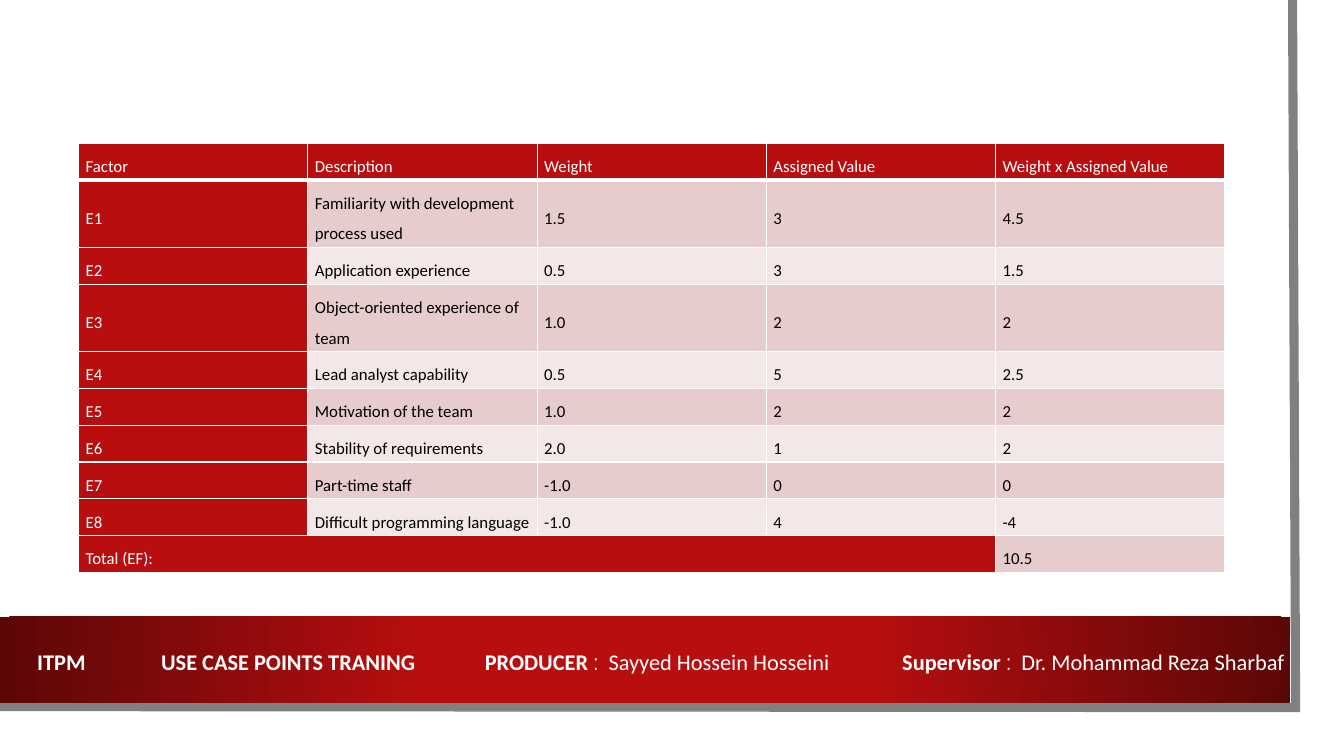
from dataclasses import dataclass

from pptx import Presentation
from pptx.dml.color import RGBColor
from pptx.enum.shapes import MSO_SHAPE
from pptx.enum.text import MSO_ANCHOR
from pptx.oxml import parse_xml
from pptx.oxml.ns import nsdecls, qn
from pptx.util import Inches, Pt

RECTANGLE = MSO_SHAPE.RECTANGLE
MIDDLE = MSO_ANCHOR.MIDDLE


@dataclass(frozen=True)
class Theme:
    white: str = "FFFFFF"
    black: str = "000000"
    red: str = "B80E0F"
    dark_red: str = "5C0707"
    band_dark: str = "E6CCCC"
    band_light: str = "F3E7E7"
    frame: str = "808080"
    body_font: str = "Calibri"
    colon_font: str = "Arial Narrow"
    table_size: int = 12
    footer_size: int = 16


HEADERS = ["Factor", "Description", "Weight", "Assigned Value", "Weight x Assigned Value"]
FACTORS = [
    ["E1", "Familiarity with development process used", "1.5", "3", "4.5"],
    ["E2", "Application experience", "0.5", "3", "1.5"],
    ["E3", "Object-oriented experience of team", "1.0", "2", "2"],
    ["E4", "Lead analyst capability", "0.5", "5", "2.5"],
    ["E5", "Motivation of the team", "1.0", "2", "2"],
    ["E6", "Stability of requirements", "2.0", "1", "2"],
    ["E7", "Part-time staff", "-1.0", "0", "0"],
    ["E8", "Difficult programming language", "-1.0", "4", "-4"],
]
TOTAL = ["Total (EF):", "", "", "", "10.5"]


def apply(target, values):
    for name, value in values.items():
        setattr(target, name, value)


class SlideBuilder:
    def __init__(self, slide, theme):
        self.slide = slide
        self.theme = theme

    def rectangle(self, left, top, width, height, color):
        shape = self.slide.shapes.add_shape(
            RECTANGLE, Inches(left), Inches(top), Inches(width), Inches(height))
        shape.shadow.inherit = False
        shape.fill.solid()
        shape.fill.fore_color.rgb = RGBColor.from_string(color)
        shape.line.fill.background()
        return shape

    def radial_rectangle(self, left, top, width, height, stops):
        shape = self.rectangle(left, top, width, height, stops[0][1])
        stop_xml = "".join(
            f'<a:gs pos="{position * 1000}"><a:srgbClr val="{color}"/></a:gs>'
            for position, color in stops)
        gradient = parse_xml(
            f'<a:gradFill {nsdecls("a")} rotWithShape="1"><a:gsLst>{stop_xml}</a:gsLst>'
            '<a:path path="circle"><a:fillToRect l="50000" t="50000" r="50000" b="50000"/>'
            '</a:path></a:gradFill>')
        properties = shape.element.spPr
        properties.replace(properties.find(qn("a:solidFill")), gradient)

    def outline(self, points, color, width):
        corners = [(Inches(x), Inches(y)) for x, y in points]
        builder = self.slide.shapes.build_freeform(*corners[0])
        builder.add_line_segments(corners[1:], close=False)
        shape = builder.convert_to_shape()
        shape.shadow.inherit = False
        shape.fill.background()
        shape.line.color.rgb = RGBColor.from_string(color)
        shape.line.width = Pt(width)
        shape.line._get_or_add_ln().append(parse_xml(f'<a:miter {nsdecls("a")} lim="800000"/>'))

    def run(self, paragraph, text, color, size, font, bold=False):
        run = paragraph.add_run()
        run.text = text
        apply(run.font, {"name": font, "size": Pt(size), "bold": bold})
        run.font.color.rgb = RGBColor.from_string(color)

    def cell(self, cell, text, fill, color, top=1, bottom=1):
        apply(cell, {
            "vertical_anchor": MIDDLE,
            "margin_left": Inches(0.07), "margin_right": Inches(0.07),
            "margin_top": Inches(0.03), "margin_bottom": Inches(0.03)})
        paragraph = cell.text_frame.paragraphs[0]
        apply(paragraph, {"line_spacing": 1.5, "space_after": Pt(8)})
        if text:
            self.run(paragraph, text, color, self.theme.table_size, self.theme.body_font)
        # Borders come before the fill in the cell properties
        properties = cell._tc.get_or_add_tcPr()
        for side, width in {"L": 1, "R": 1, "T": top, "B": bottom}.items():
            properties.append(parse_xml(
                f'<a:ln{side} {nsdecls("a")} w="{Pt(width)}"><a:solidFill>'
                f'<a:srgbClr val="{self.theme.white}"/></a:solidFill></a:ln{side}>'))
        cell.fill.solid()
        cell.fill.fore_color.rgb = RGBColor.from_string(fill)

    def table(self, left, top, column_width, row_heights, rows):
        theme = self.theme
        column_count = len(rows[0])
        table = self.slide.shapes.add_table(
            len(rows), column_count, Inches(left), Inches(top),
            Inches(column_width * column_count), Inches(sum(row_heights))).table
        apply(table, {"first_row": False, "horz_banding": False})
        for column in table.columns:
            column.width = Inches(column_width)
        for row, height in zip(table.rows, row_heights):
            row.height = Inches(height)
        last = len(rows) - 1
        for r, values in enumerate(rows):
            band = theme.band_dark if r % 2 else theme.band_light
            for c, text in enumerate(values):
                heading = r == 0 or c == 0 or (r == last and c < column_count - 1)
                self.cell(table.cell(r, c), text,
                          theme.red if heading else band,
                          theme.white if heading else theme.black,
                          top=3 if r == 1 else 1, bottom=3 if r == 0 else 1)
        table.cell(last, 0).merge(table.cell(last, column_count - 2))

    def tabbed_line(self, left, top, width, height, tabs, runs):
        box = self.slide.shapes.add_textbox(
            Inches(left), Inches(top), Inches(width), Inches(height))
        box.text_frame.word_wrap = True
        paragraph = box.text_frame.paragraphs[0]
        tab_xml = "".join(f'<a:tab pos="{Inches(tab)}" algn="l"/>' for tab in tabs)
        paragraph._p.get_or_add_pPr().append(
            parse_xml(f'<a:tabLst {nsdecls("a")}>{tab_xml}</a:tabLst>'))
        for text, font, bold in runs:
            self.run(paragraph, text, self.theme.white, self.theme.footer_size, font, bold)


def main():
    presentation = Presentation()
    presentation.slide_width = Inches(13.33)
    presentation.slide_height = Inches(7.5)
    theme = Theme()
    slide = presentation.slides.add_slide(presentation.slide_layouts[6])
    builder = SlideBuilder(slide, theme)

    # Page panel, frame and footer band
    builder.rectangle(0, 0, 13.1, 7.27, theme.white)
    builder.outline([(12.82, 0), (12.85, 7.02), (-0.03, 7.01)], theme.frame, 6.5)
    builder.radial_rectangle(0, 6.12, 12.8, 0.85, [(34, theme.red), (100, theme.dark_red)])

    # Environmental factors
    rows = [HEADERS, *FACTORS, TOTAL]
    row_heights = [0.54 if r == 1 else 0.29 for r in range(len(rows))]
    builder.table(0.78, 1.42, 2.274, row_heights, rows)

    # Footer text
    body, colon = theme.body_font, theme.colon_font
    builder.tabbed_line(0.27, 6.38, 14.68, 0.37, [1.23, 4.44, 8.58], [
        ("ITPM\tUSE CASE POINTS TRANING\tPRODUCER", body, True),
        (" : ", colon, False),
        (" Sayyed Hossein Hosseini\t", body, False),
        ("Supervisor", body, True),
        (" : ", colon, False),
        (" Dr. Mohammad Reza Sharbaf", body, False),
    ])

    presentation.save("out.pptx")


if __name__ == "__main__":
    main()
